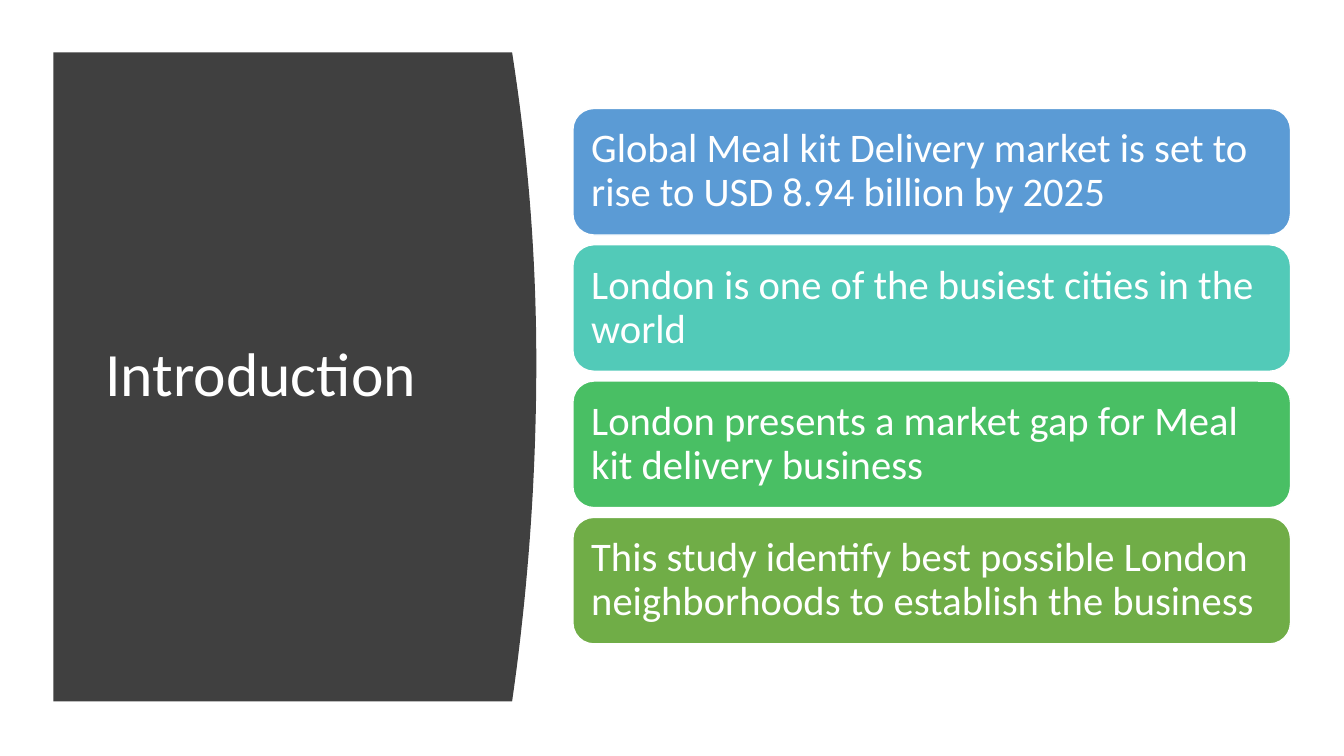
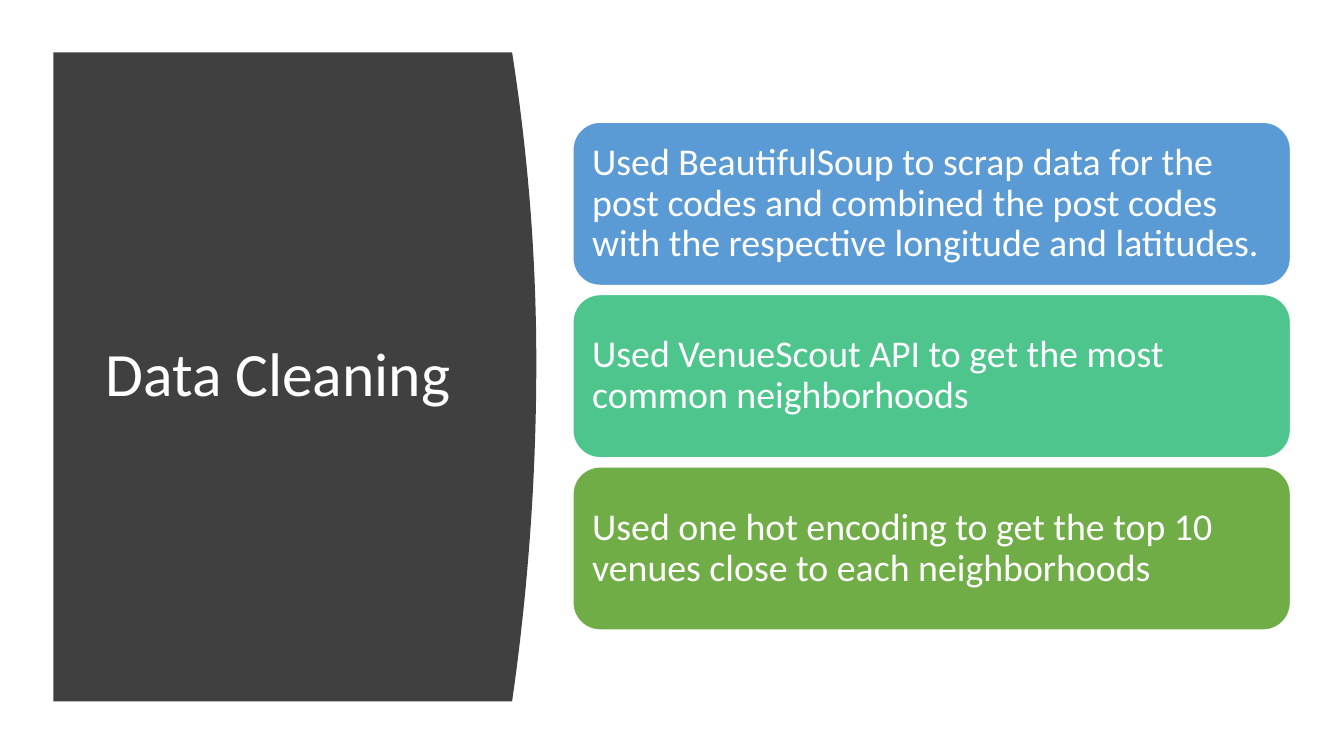
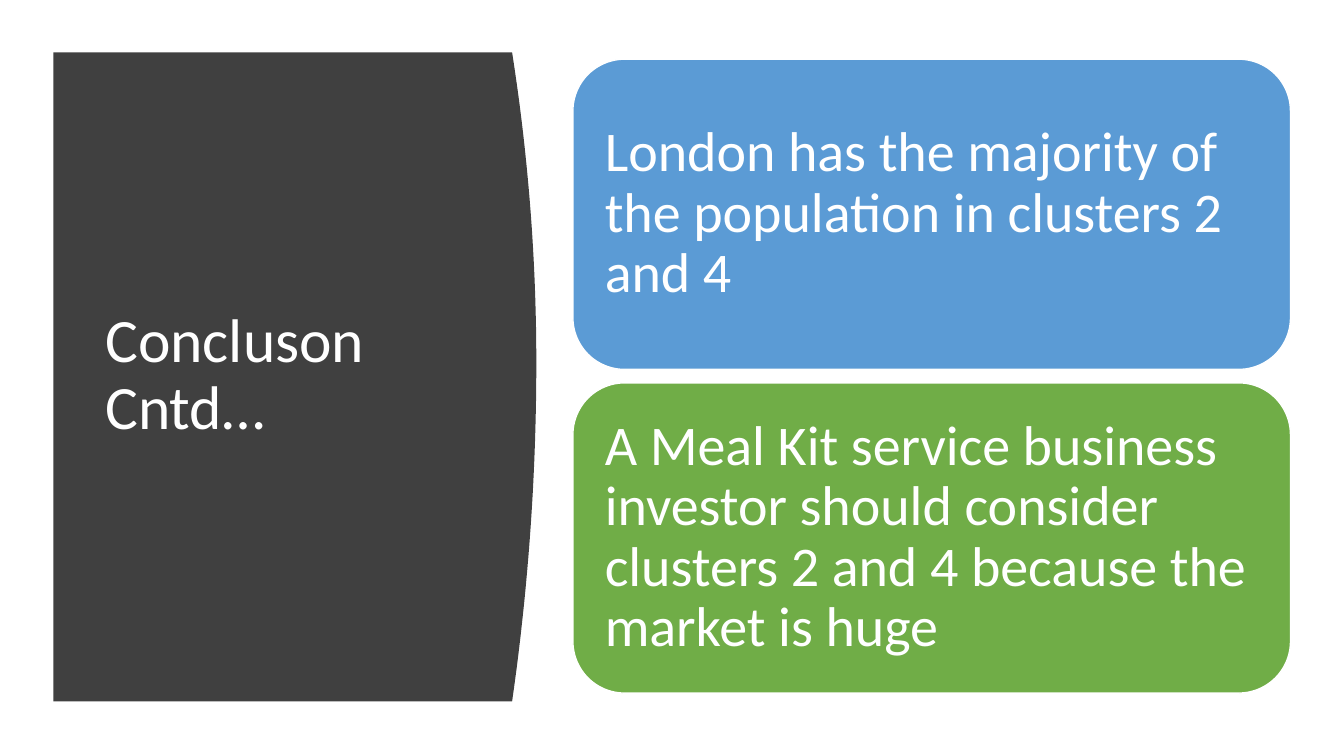
from dataclasses import dataclass

from pptx import Presentation
from pptx.dml.color import RGBColor
from pptx.enum.shapes import MSO_SHAPE
from pptx.enum.text import MSO_ANCHOR, MSO_AUTO_SIZE, PP_ALIGN
from pptx.util import Pt

ROUNDED = MSO_SHAPE.ROUNDED_RECTANGLE
MIDDLE = MSO_ANCHOR.MIDDLE
NO_AUTOFIT = MSO_AUTO_SIZE.NONE
LEFT = PP_ALIGN.LEFT


@dataclass(frozen=True)
class Theme:
    font: str = "Calibri"
    title_size: int = 44
    line_spacing: float = 0.9
    white: RGBColor = RGBColor.from_string("FFFFFF")
    panel: RGBColor = RGBColor.from_string("404040")
    blue: RGBColor = RGBColor.from_string("5B9BD5")
    teal: RGBColor = RGBColor.from_string("52CAB8")
    mint: RGBColor = RGBColor.from_string("4DC58D")
    emerald: RGBColor = RGBColor.from_string("49BF64")
    green: RGBColor = RGBColor.from_string("70AD47")


THEME = Theme()
TITLE_ONLY_LAYOUT = 5

# Dark panel: straight on three sides, with a bulging right edge
PANEL_LEFT, PANEL_TOP, PANEL_BOTTOM = 38.2, 37.4, 501.1
PANEL_CORNER, PANEL_BULGE, BULGE_CENTRE = 365.8, 17.3, 259
CURVE_STEPS = 40

# Cards: one column, centred on a common height
CARD_LEFT, CARD_WIDTH, COLUMN_CENTRE = 409.2, 512.6, 268.7
GAP_PER_SIZE, INSET_PER_SIZE = 0.24, 0.3

# Title, card text size, card height, cards
SLIDES = [
    ("Introduction", 29, 90.4, [
        ("Global Meal kit Delivery market is set to rise to USD 8.94 billion by 2025", THEME.blue),
        ("London is one of the busiest cities in the world", THEME.teal),
        ("London presents a market gap for Meal kit delivery business", THEME.emerald),
        ("This study identify best possible London neighborhoods to establish the business",
         THEME.green),
    ]),
    ("Data Cleaning", 27, 116.6, [
        ("Used BeautifulSoup to scrap data for the post codes and combined the post codes "
         "with the respective longitude and latitudes.", THEME.blue),
        ("Used VenueScout API to get the most common neighborhoods", THEME.mint),
        ("Used one hot encoding to get the top 10 venues close to each neighborhoods",
         THEME.green),
    ]),
    ("Concluson Cntd…", 40, 221.6, [
        ("London has the majority of the population in clusters 2 and 4", THEME.blue),
        ("A Meal Kit service business investor should consider clusters 2 and 4 because "
         "the market is huge", THEME.green),
    ]),
]


def set_text(shape, text, size):
    """Write one left-aligned white paragraph, centred vertically in the shape."""
    frame = shape.text_frame
    frame.text = text
    frame.word_wrap = True
    frame.auto_size = NO_AUTOFIT
    frame.vertical_anchor = MIDDLE
    paragraph = frame.paragraphs[0]
    paragraph.alignment = LEFT
    paragraph.line_spacing = THEME.line_spacing
    paragraph.font.name = THEME.font
    paragraph.font.size = Pt(size)
    paragraph.font.color.rgb = THEME.white


def add_panel(slide):
    outline = slide.shapes.build_freeform(Pt(PANEL_LEFT), Pt(PANEL_TOP))
    points = []
    for step in range(CURVE_STEPS + 1):
        y = PANEL_TOP + (PANEL_BOTTOM - PANEL_TOP) * step / CURVE_STEPS
        end = PANEL_TOP if y < BULGE_CENTRE else PANEL_BOTTOM
        distance = (y - BULGE_CENTRE) / (end - BULGE_CENTRE)
        x = PANEL_CORNER + PANEL_BULGE * (1 - distance ** 2)
        points.append((Pt(x), Pt(y)))
    points.append((Pt(PANEL_LEFT), Pt(PANEL_BOTTOM)))
    outline.add_line_segments(points, close=True)
    panel = outline.convert_to_shape()
    panel.shadow.inherit = False
    panel.fill.solid()
    panel.fill.fore_color.rgb = THEME.panel
    panel.line.fill.background()
    return panel


presentation = Presentation()
presentation.slide_width, presentation.slide_height = Pt(960), Pt(540)

for title_text, card_size, card_height, cards in SLIDES:
    slide = presentation.slides.add_slide(presentation.slide_layouts[TITLE_ONLY_LAYOUT])

    title = slide.shapes.title
    title.left, title.top, title.width, title.height = Pt(68), Pt(80), Pt(269), Pt(377.5)
    set_text(title, title_text, THEME.title_size)
    panel = add_panel(slide)
    title.element.addprevious(panel.element)  # the panel lies behind the title

    gap = GAP_PER_SIZE * card_size
    inset = Pt(INSET_PER_SIZE * card_size)
    pitch = card_height + gap
    first_top = COLUMN_CENTRE - (len(cards) * pitch - gap) / 2
    for index, (card_text, color) in enumerate(cards):
        card = slide.shapes.add_shape(
            ROUNDED, Pt(CARD_LEFT), Pt(first_top + index * pitch), Pt(CARD_WIDTH), Pt(card_height))
        card.shadow.inherit = False
        card.fill.solid()
        card.fill.fore_color.rgb = color
        card.line.color.rgb = THEME.white
        card.line.width = Pt(1)
        set_text(card, card_text, card_size)
        frame = card.text_frame
        frame.margin_left = frame.margin_right = inset
        frame.margin_top = frame.margin_bottom = inset

presentation.save("out.pptx")
